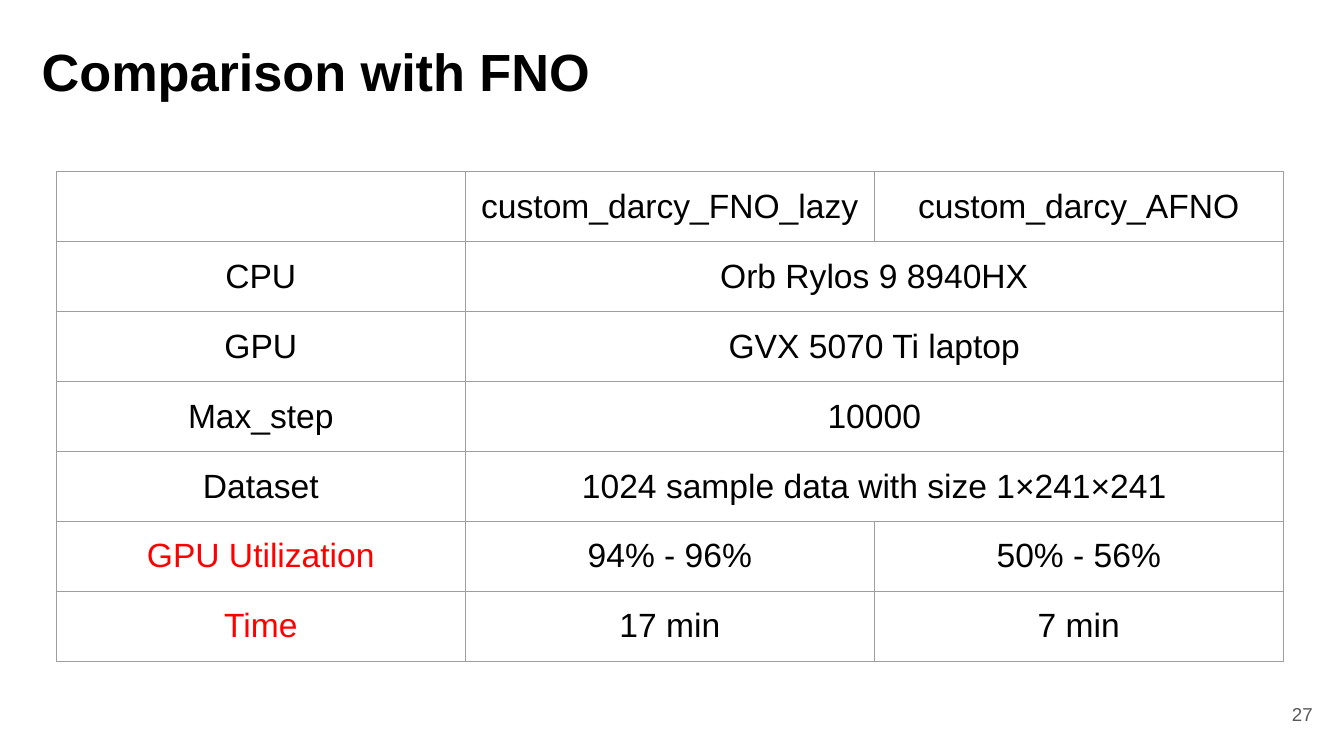
from dataclasses import dataclass

from lxml import etree
from pptx import Presentation
from pptx.dml.color import RGBColor
from pptx.enum.text import MSO_ANCHOR, PP_ALIGN
from pptx.oxml.ns import qn
from pptx.util import Pt

LEFT, CENTER, RIGHT = PP_ALIGN.LEFT, PP_ALIGN.CENTER, PP_ALIGN.RIGHT
MIDDLE, BOTTOM = MSO_ANCHOR.MIDDLE, MSO_ANCHOR.BOTTOM


@dataclass(frozen=True)
class Theme:
    font: str = "Arial"
    text: str = "000000"
    highlight: str = "FF0000"
    muted: str = "595959"
    border: str = "9E9E9E"
    title_size: float = 28
    table_size: float = 18
    number_size: float = 10
    inset: float = 7.2
    border_width: float = 0.75


theme = Theme()


def write_text(frame, text, size, color=theme.text, bold=False, align=LEFT):
    frame.word_wrap = True
    paragraph = frame.paragraphs[0]
    paragraph.text = text
    paragraph.alignment = align
    paragraph.font.name = theme.font
    paragraph.font.size = Pt(size)
    paragraph.font.bold = bold
    paragraph.font.color.rgb = RGBColor.from_string(color)


def set_insets(target):
    target.margin_left = target.margin_right = Pt(theme.inset)
    target.margin_top = target.margin_bottom = Pt(theme.inset)


presentation = Presentation()
presentation.slide_width = Pt(720)
presentation.slide_height = Pt(405)
slide = presentation.slides.add_slide(presentation.slide_layouts[6])

labels = [
    ("Comparison with FNO", (15.3, 21.4, 526, 40.6), BOTTOM,
     dict(size=theme.title_size, bold=True)),
    ("27", (667.1, 367.2, 43.2, 31), MIDDLE,
     dict(size=theme.number_size, color=theme.muted, align=RIGHT)),
]
for text, box, anchor, text_format in labels:
    frame = slide.shapes.add_textbox(*map(Pt, box)).text_frame
    set_insets(frame)
    frame.vertical_anchor = anchor
    write_text(frame, text, **text_format)

rows = [
    ("", "custom_darcy_FNO_lazy", "custom_darcy_AFNO"),
    ("CPU", "Orb Rylos 9 8940HX"),
    ("GPU", "GVX 5070 Ti laptop"),
    ("Max_step", "10000"),
    ("Dataset", "1024 sample data with size 1×241×241"),
    ("GPU Utilization", "94% - 96%", "50% - 56%"),
    ("Time", "17 min", "7 min"),
]
highlighted = {"GPU Utilization", "Time"}
column_count = 3
column_width, row_height = 219.1, 37.5

table = slide.shapes.add_table(
    len(rows), column_count, Pt(30.2), Pt(91.9),
    Pt(column_width * column_count), Pt(row_height * len(rows))).table
table.first_row = False
table.horz_banding = False
for column in table.columns:
    column.width = Pt(column_width)
for row in table.rows:
    row.height = Pt(row_height)

for cell in table.iter_cells():
    set_insets(cell)
    cell.vertical_anchor = MIDDLE
    properties = cell._tc.get_or_add_tcPr()
    for side in ("a:lnL", "a:lnR", "a:lnT", "a:lnB"):
        line = etree.SubElement(properties, qn(side), w=str(Pt(theme.border_width)))
        fill = etree.SubElement(line, qn("a:solidFill"))
        etree.SubElement(fill, qn("a:srgbClr"), val=theme.border)
    cell.fill.background()

for row_index, values in enumerate(rows):
    if len(values) < column_count:
        table.cell(row_index, 1).merge(table.cell(row_index, column_count - 1))
    for column_index, text in enumerate(values):
        color = theme.highlight if text in highlighted else theme.text
        write_text(table.cell(row_index, column_index).text_frame, text,
                   size=theme.table_size, color=color, align=CENTER)

presentation.save("out.pptx")
